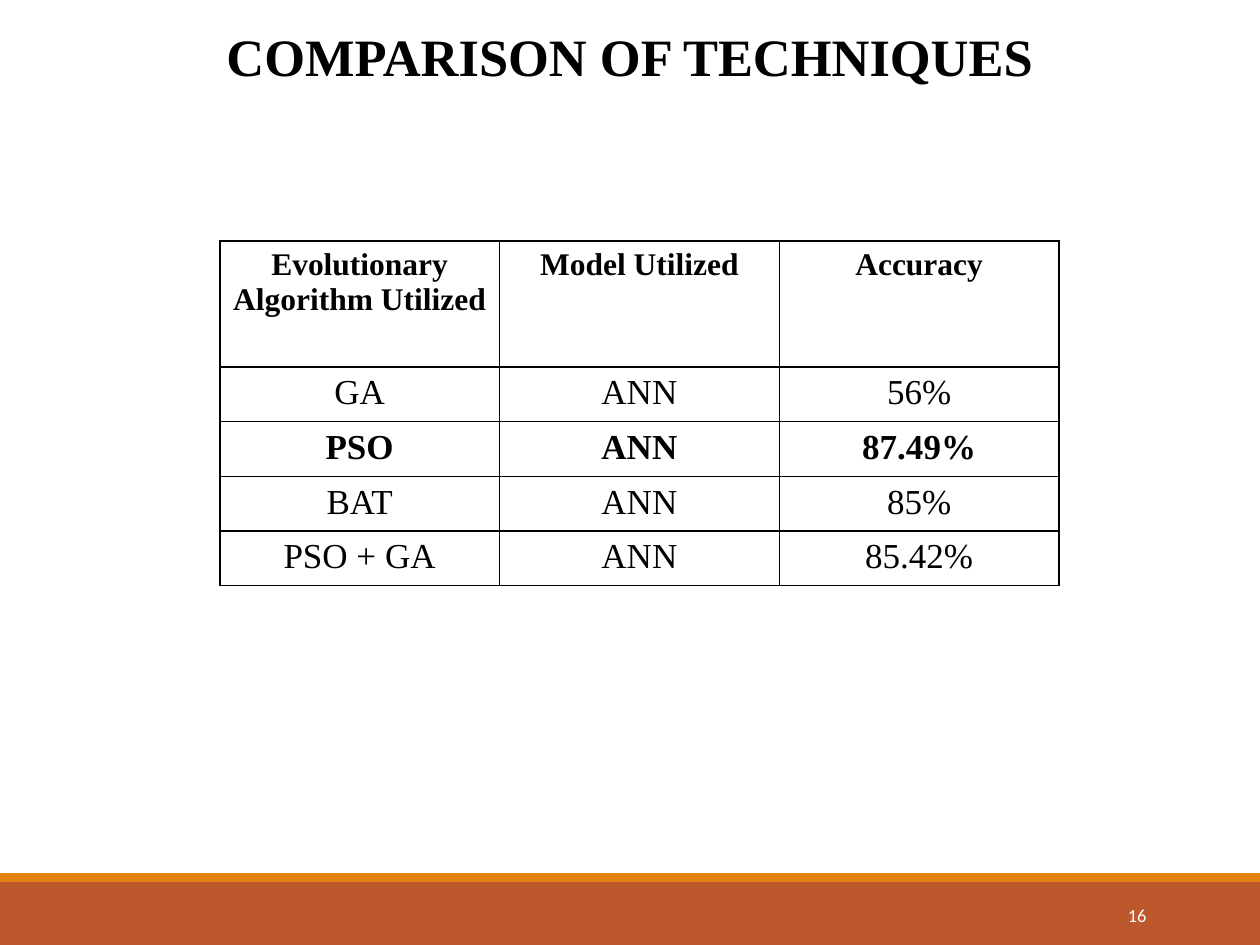
from lxml import etree
from pptx import Presentation
from pptx.dml.color import RGBColor
from pptx.enum import shapes, text
from pptx.oxml import ns
from pptx.util import Cm, Pt

HUES = {"ink": "000000", "paper": "FFFFFF", "rust": "BD582C", "amber": "E48312"}
SERIF = "Times New Roman"
ROWS = [
    ("Evolutionary Algorithm Utilized", "Model Utilized", "Accuracy"),
    ("GA", "ANN", "56%"),
    ("PSO", "ANN", "87.49%"),
    ("BAT", "ANN", "85%"),
    ("PSO + GA", "ANN", "85.42%"),
]
BEST = 2


def hue(name):
    return RGBColor.from_string(HUES[name])


def write(frame, words, size, align, face=SERIF, tint="ink", bold=False):
    frame.text = words
    para = frame.paragraphs[0]
    para.alignment = align
    font = para.runs[0].font
    font.name, font.size, font.bold = face, Pt(size), bold
    font.color.rgb = hue(tint)


def add_bar(slide, top, height, tint):
    bar = slide.shapes.add_shape(
        shapes.MSO_SHAPE.RECTANGLE, 0, Cm(top), Cm(25.4), Cm(height))
    bar.shadow.inherit = False
    bar.fill.solid()
    bar.fill.fore_color.rgb = hue(tint)
    bar.line.fill.background()


def add_label(slide, box, words, size, align, **style):
    frame = slide.shapes.add_textbox(*map(Cm, box)).text_frame
    frame.word_wrap = True
    frame.vertical_anchor = text.MSO_ANCHOR.MIDDLE
    write(frame, words, size, align, **style)


def add_rule(cell):
    """Draw a thin line on all four sides of a cell."""
    props = cell._tc.get_or_add_tcPr()
    for spot, side in enumerate(("lnL", "lnR", "lnT", "lnB")):
        line = etree.Element(ns.qn("a:" + side), w=str(Pt(1)))
        fill = etree.SubElement(line, ns.qn("a:solidFill"))
        etree.SubElement(fill, ns.qn("a:srgbClr"), val=HUES["ink"])
        props.insert(spot, line)


def add_grid(slide):
    high = [2.54] + [1.1] * (len(ROWS) - 1)
    wide = 5.64
    table = slide.shapes.add_table(
        len(ROWS), len(ROWS[0]), Cm(4.43), Cm(4.86),
        Cm(wide * len(ROWS[0])), Cm(sum(high))).table
    table.first_row = table.horz_banding = False
    for col in table.columns:
        col.width = Cm(wide)
    for i, row in enumerate(ROWS):
        table.rows[i].height = Cm(high[i])
        for j, words in enumerate(row):
            cell = table.cell(i, j)
            cell.margin_left = cell.margin_right = Cm(0.2)
            cell.fill.background()
            add_rule(cell)
            write(cell.text_frame, words, 20 if i else 18,
                  text.PP_ALIGN.CENTER, bold=i in (0, BEST))


def main():
    deck = Presentation()
    deck.slide_width, deck.slide_height = Cm(25.4), Cm(19.05)
    slide = deck.slides.add_slide(deck.slide_layouts[6])
    add_bar(slide, 17.78, 1.27, "rust")
    add_bar(slide, 17.6, 0.18, "amber")
    add_label(slide, (20.62, 17.94, 2.74, 1.01), "16", 10.5,
              text.PP_ALIGN.RIGHT, face="Calibri", tint="paper")
    add_label(slide, (0, 0.36, 25.4, 1.54), "COMPARISON OF TECHNIQUES", 30,
              text.PP_ALIGN.CENTER, bold=True)
    add_grid(slide)
    deck.save("out.pptx")


if __name__ == "__main__":
    main()
